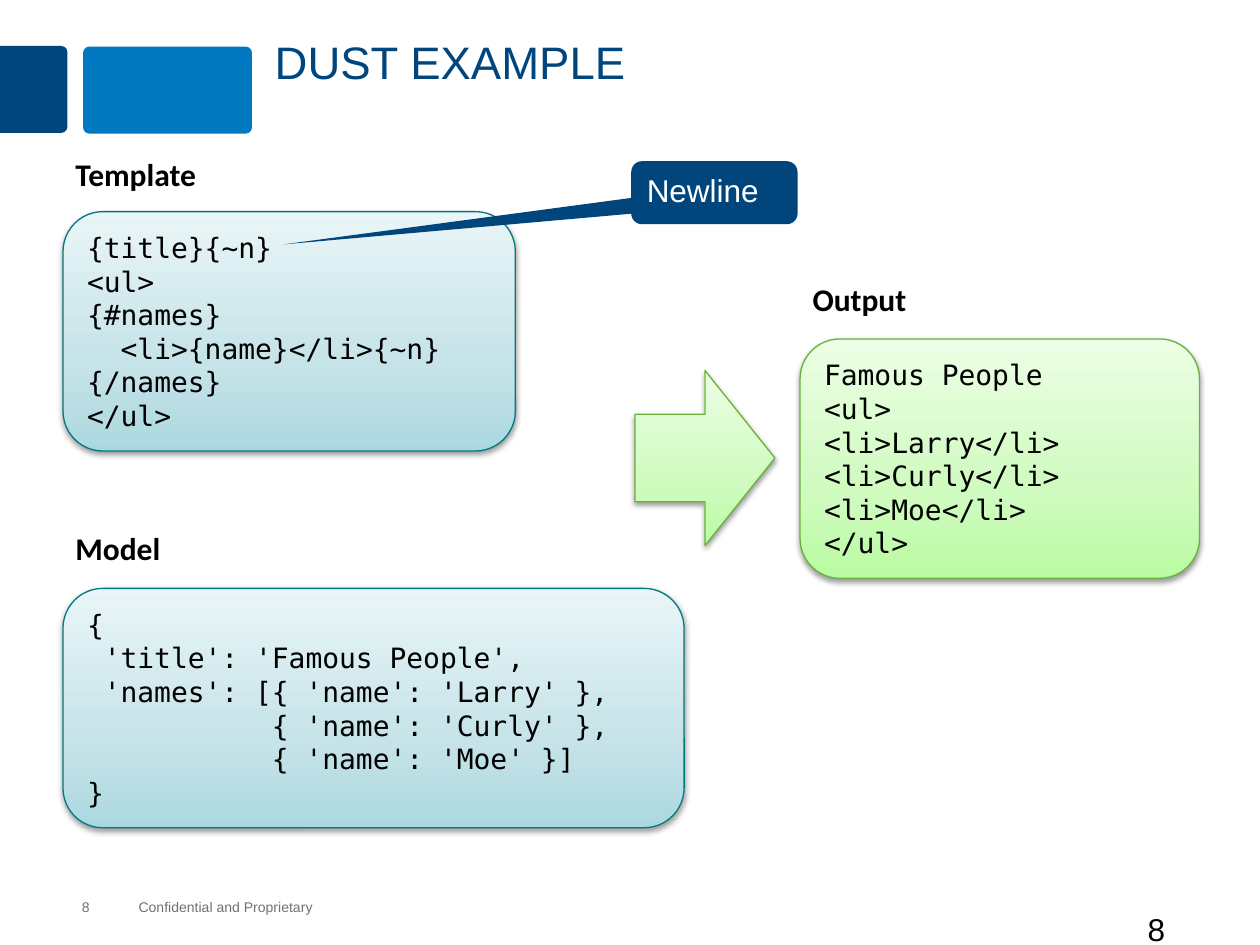
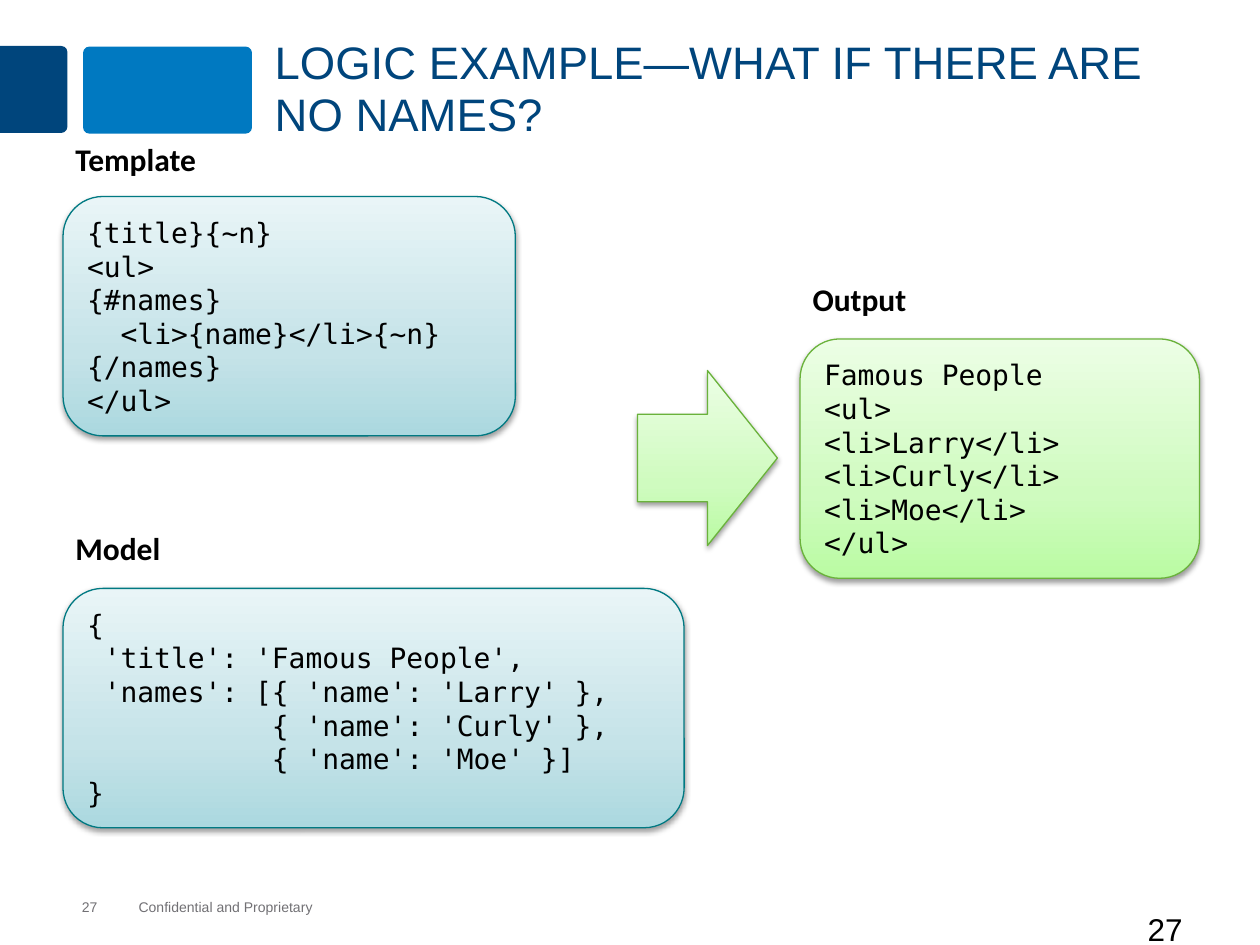
"""Builds two slides that show a template and a model giving an output."""
from copy import deepcopy

from pptx import Presentation
from pptx.dml.color import RGBColor
from pptx.enum.shapes import MSO_SHAPE
from pptx.enum.text import MSO_ANCHOR, MSO_AUTO_SIZE, PP_ALIGN
from pptx.oxml import parse_xml
from pptx.oxml.ns import nsdecls
from pptx.util import Inches, Pt

ROUND = MSO_SHAPE.ROUNDED_RECTANGLE
TAB = MSO_SHAPE.ROUND_2_SAME_RECTANGLE
ARROW = MSO_SHAPE.RIGHT_ARROW
CALLOUT = MSO_SHAPE.ROUNDED_RECTANGULAR_CALLOUT
TOP, MIDDLE = MSO_ANCHOR.TOP, MSO_ANCHOR.MIDDLE
LEFT = PP_ALIGN.LEFT
FIXED = MSO_AUTO_SIZE.NONE

COLORS = {
    "navy": "00457C", "blue": "0079C1", "gray": "717074",
    "black": "000000", "white": "FFFFFF",
    "teal": "007982", "teal low": "ABD8DF", "teal mid": "C5E3E8", "teal high": "E9F5F7",
    "green": "6AB23B", "green low": "BAFBA3", "green mid": "CFFBBF", "green high": "ECFEE5",
}
STOPS = {"low": 0, "mid": 0.35, "high": 1}
SHADOW = (
    f'<a:outerShdw {nsdecls("a")} blurRad="40000" dist="20000" dir="5400000" '
    'rotWithShape="0"><a:srgbClr val="000000"><a:alpha val="38000"/></a:srgbClr></a:outerShdw>'
)

TEMPLATE = """{title}{~n}
<ul>
{#names}
  <li>{name}</li>{~n}
{/names}
</ul>"""
MODEL = """{
 'title': 'Famous People',
 'names': [{ 'name': 'Larry' },
           { 'name': 'Curly' },
           { 'name': 'Moe' }]
}"""
OUTPUT = """Famous People
<ul>
<li>Larry</li>
<li>Curly</li>
<li>Moe</li>
</ul>"""


def color(name):
    """Return the named colour."""
    return RGBColor.from_string(COLORS[name])


class Deck:
    """Holds the style and the current slide."""

    def __init__(self):
        """Start an empty deck."""
        self.prs = Presentation()
        self.prs.slide_width, self.prs.slide_height = Inches(10), Inches(7.5)
        self.slide = None

    def letter(self, shape, text, size, tint="black", face="Arial", bold=False, anchor=TOP):
        """Set one styled paragraph in a shape."""
        frame = shape.text_frame
        frame.word_wrap = True
        frame.auto_size = FIXED
        frame.vertical_anchor = anchor
        para = frame.paragraphs[0]
        para.text = text
        para.alignment = LEFT
        font = para.font
        font.name, font.size, font.bold = face, Pt(size), bold
        font.color.rgb = color(tint)
        return para

    def text(self, box, text, size, **style):
        """Add a text box."""
        shape = self.slide.shapes.add_textbox(*map(Inches, box))
        self.letter(shape, text, size, **style)
        return shape

    def solid(self, kind, box, tint, *adjs):
        """Add a flat shape without a line."""
        shape = self.slide.shapes.add_shape(kind, *map(Inches, box))
        shape.shadow.inherit = False
        shape.fill.solid()
        shape.fill.fore_color.rgb = color(tint)
        shape.line.fill.background()
        for i, adj in enumerate(adjs):
            shape.adjustments[i] = adj
        return shape

    def glossy(self, kind, box, hue):
        """Add a shape with a gradient, a thin line and a soft shadow."""
        shape = self.slide.shapes.add_shape(kind, *map(Inches, box))
        fill = shape.fill
        fill.gradient()
        fill.gradient_angle = 90
        stops = shape._element.spPr.xpath(".//a:gsLst")[0]
        stops.append(deepcopy(stops[0]))
        for stop, (tone, place) in zip(fill.gradient_stops, STOPS.items()):
            stop.color.rgb = color(f"{hue} {tone}")
            stop.position = place
        shape.line.color.rgb = color(hue)
        shape.line.width = Pt(0.75)
        shape.shadow.inherit = False
        shape._element.spPr.xpath("a:effectLst")[0].append(parse_xml(SHADOW))
        return shape

    def panel(self, label, code, left, top, width, hue, gap=0.52):
        """Add a code panel with its label above."""
        shape = self.glossy(ROUND, (left, top, width, 1.9), hue)
        self.letter(shape, code, 16, face="DejaVu Sans Mono", anchor=MIDDLE)
        self.text((left, top - gap, 1.65, 0.5), label, 18, face="Calibri", bold=True)

    def footer(self, box, text):
        """Add a small footer text without margins."""
        frame = self.text(box, text, 8, tint="gray", anchor=MIDDLE).text_frame
        frame.margin_left = frame.margin_right = frame.margin_top = frame.margin_bottom = 0

    def page(self, title, number):
        """Start a slide with its bands, title and footers."""
        self.slide = self.prs.slides.add_slide(self.prs.slide_layouts[5])
        self.solid(TAB, (-0.08, 0.44, 0.69, 0.54), "navy", 0.09, 0).rotation = 90
        self.solid(ROUND, (0.66, 0.37, 1.34, 0.69), "blue", 0.07)
        self.footer((1.1, 7.13, 1.4, 0.13), "Confidential and Proprietary")
        self.footer((0.65, 7.13, 0.4, 0.13), number)
        head = self.slide.shapes.title
        head.left, head.top, head.width, head.height = map(Inches, (2.08, 0.25, 7.67, 0.91))
        self.letter(head, title, 26, tint="navy").line_spacing = 0.95
        self.text((9.01, 7.17, 0.99, 0.5), number, 18)

    def flow(self, top, left):
        """Add the three panels and the arrow."""
        self.panel("Template", TEMPLATE, 0.5, top, 3.59, "teal", 0.5)
        self.panel("Model", MODEL, 0.5, 4.67, 4.93, "teal")
        self.panel("Output", OUTPUT, 6.35, 2.69, 3.17, "green")
        self.glossy(ARROW, (left, 2.94, 1.11, 1.39), "green")

    def callout(self, box, text, *adjs):
        """Add a callout that points at a place."""
        self.letter(self.solid(CALLOUT, box, "navy", *adjs), text, 18, tint="white")


deck = Deck()
deck.page("DUST EXAMPLE", "8")
deck.flow(1.68, 5.04)
deck.callout((5.01, 1.28, 1.32, 0.5), "Newline", -2.59, 0.82, 0.17)

deck.page("LOGIC EXAMPLE—WHAT IF THERE ARE NO NAMES?", "27")
deck.flow(1.56, 5.06)

deck.prs.save("out.pptx")
